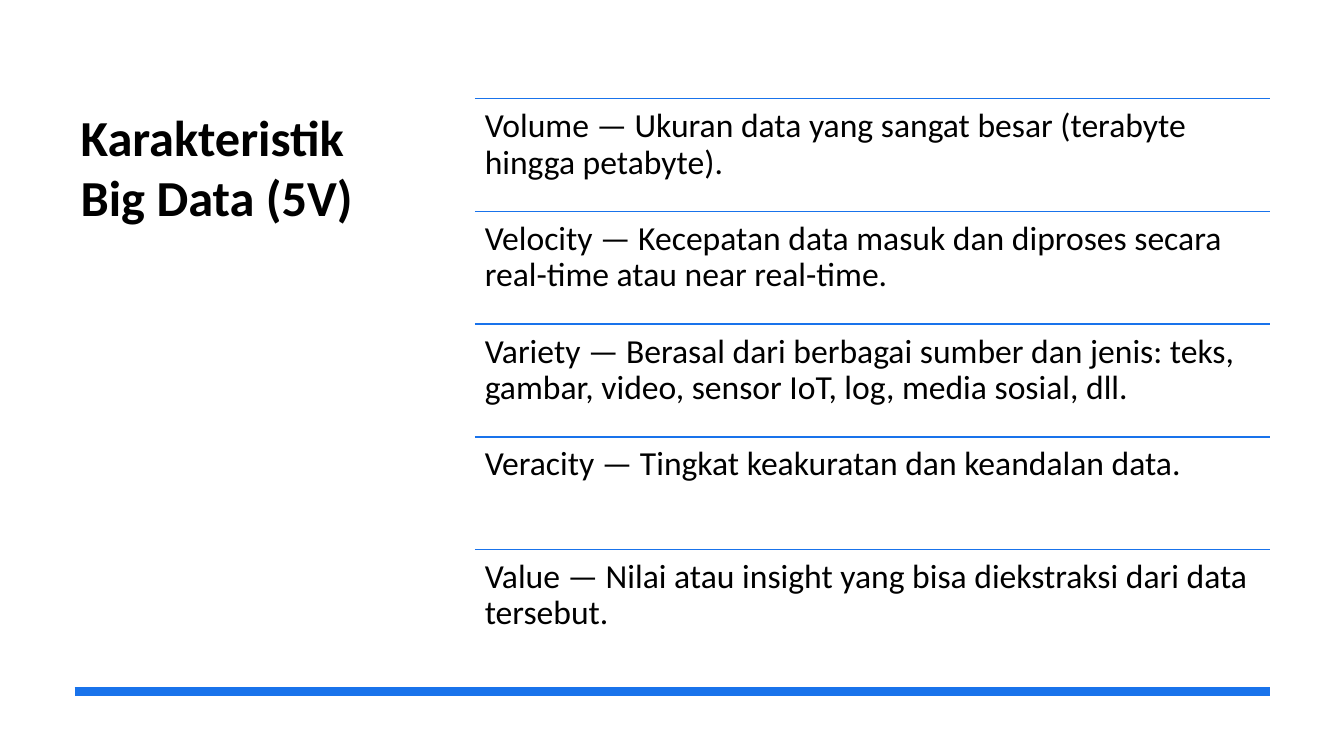
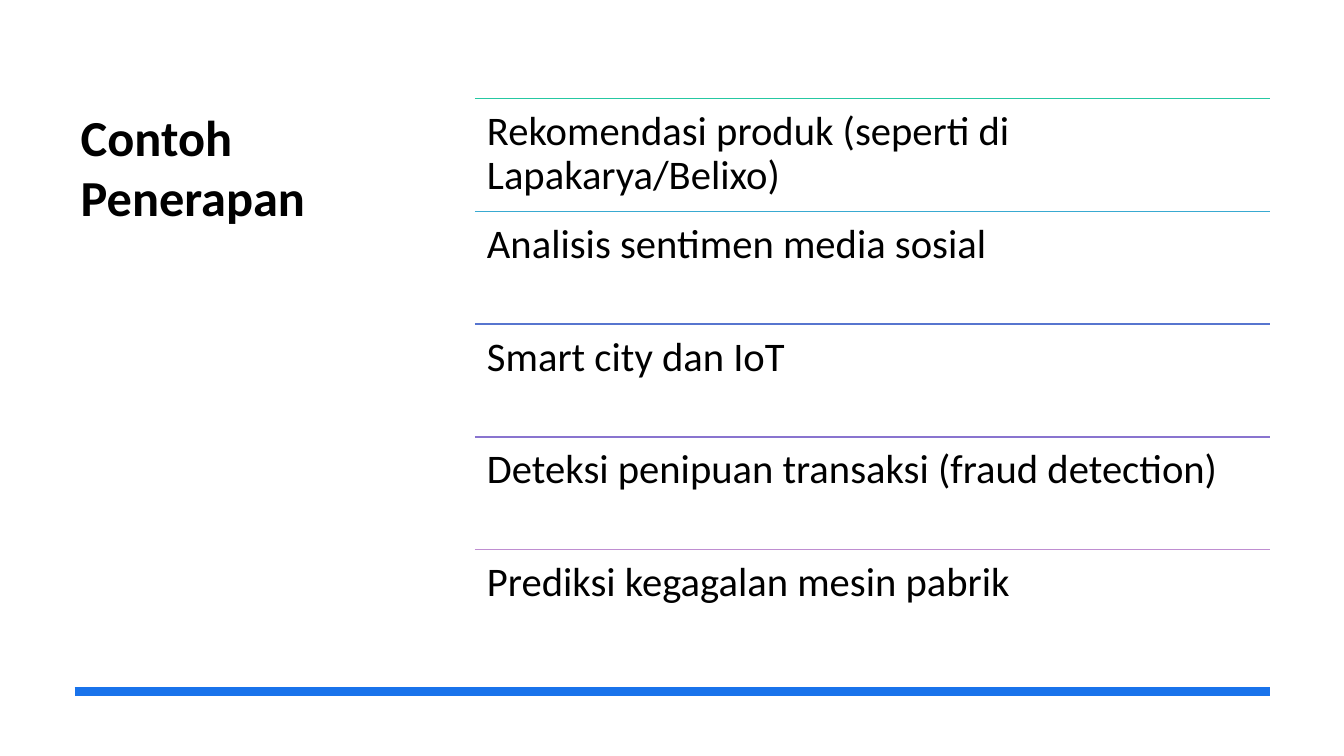
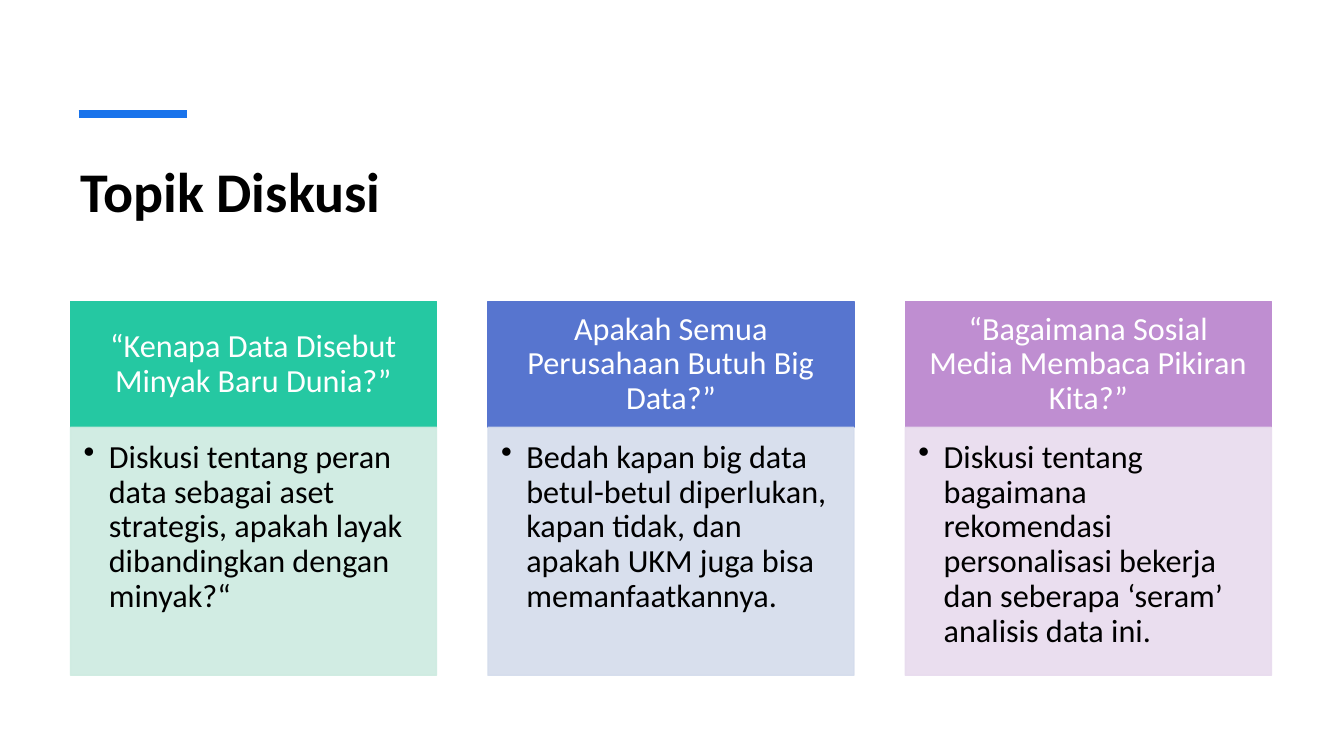
from lxml import etree
from pptx import Presentation
from pptx.dml.color import RGBColor
from pptx.enum.shapes import MSO_CONNECTOR, MSO_SHAPE
from pptx.enum.text import MSO_ANCHOR, MSO_AUTO_SIZE, PP_ALIGN
from pptx.oxml.ns import qn
from pptx.util import Inches, Pt

STRAIGHT = MSO_CONNECTOR.STRAIGHT
RECTANGLE = MSO_SHAPE.RECTANGLE
TOP, MIDDLE = MSO_ANCHOR.TOP, MSO_ANCHOR.MIDDLE
LEFT, CENTER = PP_ALIGN.LEFT, PP_ALIGN.CENTER
NO_AUTOFIT = MSO_AUTO_SIZE.NONE

TITLE_ONLY = 5
FONT = "Calibri"
COLORS = {
    "text": "000000",
    "inverse": "FFFFFF",
    "accent": "1973EB",
    "green": "25C8A2",
    "cyan": "39AAD1",
    "blue": "5775CF",
    "violet": "8974CF",
    "orchid": "BF8ED1",
    "green_tint": "CDEBE0",
    "blue_tint": "D4DCEC",
    "orchid_tint": "E8DBEE",
}

SIDE_TITLE_BOX = (0.7, 1, 3.28, 4.55)
TOP_TITLE_BOX = (0.7, 1.5, 11.91, 1.2)
ROWS_BOX = (4.71, 0.98, 7.89, 5.59)
CARDS_BOX = (0.7, 2.99, 11.91, 3.71)
CARD_GAP = 0.51
CARD_HEAD_HEIGHT = 1.25
TINT_ALPHA = 90

CHARACTERISTICS = [
    "Volume — Ukuran data yang sangat besar (terabyte hingga petabyte).",
    "Velocity — Kecepatan data masuk dan diproses secara real-time atau near real-time.",
    "Variety — Berasal dari berbagai sumber dan jenis: teks, gambar, video, sensor IoT, log, media sosial, dll.",
    "Veracity — Tingkat keakuratan dan keandalan data.",
    "Value — Nilai atau insight yang bisa diekstraksi dari data tersebut.",
]
APPLICATIONS = [
    "Rekomendasi produk (seperti di Lapakarya/Belixo)",
    "Analisis sentimen media sosial",
    "Smart city dan IoT",
    "Deteksi penipuan transaksi (fraud detection)",
    "Prediksi kegagalan mesin pabrik",
]
TOPICS = [
    ("green", "“Kenapa Data Disebut Minyak Baru Dunia?”",
     "Diskusi tentang peran data sebagai aset strategis, apakah layak dibandingkan dengan minyak?“"),
    ("blue", "Apakah Semua Perusahaan Butuh Big Data?”",
     "Bedah kapan big data betul-betul diperlukan, kapan tidak, dan apakah UKM juga bisa memanfaatkannya."),
    ("orchid", "“Bagaimana Sosial Media Membaca Pikiran Kita?”",
     "Diskusi tentang bagaimana rekomendasi personalisasi bekerja dan seberapa ‘seram’ analisis data ini."),
]


def rgb(color):
    return RGBColor.from_string(COLORS[color])


def inches(values):
    return [Inches(value) for value in values]


def set_all(target, formats):
    for name, value in formats.items():
        setattr(target, name, value)


def add_bullet(paragraph, indent):
    properties = paragraph._p.get_or_add_pPr()
    properties.set("marL", str(Inches(indent)))
    properties.set("indent", str(-Inches(indent)))
    etree.SubElement(properties, qn("a:buChar")).set("char", "•")


def write(shape, text, size, color="text", bold=False, align=LEFT, anchor=TOP,
          insets=(0.1, 0.05, 0.1, 0.05), spacing=0.9, bullet_indent=None):
    frame = shape.text_frame
    left, top, right, bottom = inches(insets)
    set_all(frame, {
        "word_wrap": True, "auto_size": NO_AUTOFIT, "vertical_anchor": anchor,
        "margin_left": left, "margin_top": top,
        "margin_right": right, "margin_bottom": bottom,
    })
    paragraph = frame.paragraphs[0]
    set_all(paragraph, {"alignment": align, "line_spacing": spacing})
    if bullet_indent:
        add_bullet(paragraph, bullet_indent)
    run = paragraph.add_run()
    run.text = text
    set_all(run.font, {"name": FONT, "size": Pt(size), "bold": bold})
    run.font.color.rgb = rgb(color)


def add_rule(slide, left, top, width, color="accent", weight=6):
    rule = slide.shapes.add_connector(STRAIGHT, *inches((left, top, left + width, top)))
    rule.line.width = Pt(weight)
    rule.line.color.rgb = rgb(color)
    etree.SubElement(rule._element.spPr, qn("a:effectLst"))


def add_panel(slide, box, color, alpha=None):
    panel = slide.shapes.add_shape(RECTANGLE, *inches(box))
    panel.shadow.inherit = False
    panel.fill.solid()
    panel.fill.fore_color.rgb = rgb(color)
    panel.line.color.rgb = rgb(color)
    panel.line.width = Pt(1)
    if alpha:
        for tone in panel._element.spPr.iter(qn("a:srgbClr")):
            etree.SubElement(tone, qn("a:alpha")).set("val", str(alpha * 1000))
    return panel


def add_titled_slide(prs, title, box, size):
    slide = prs.slides.add_slide(prs.slide_layouts[TITLE_ONLY])
    heading = slide.shapes.title
    set_all(heading, dict(zip(("left", "top", "width", "height"), inches(box))))
    write(heading, title, size, bold=True, spacing=1.0)
    return slide


def add_ruled_rows(slide, box, rows, colors, size, inset):
    left, top, width, height = box
    row_height = height / len(rows)
    for index, (text, color) in enumerate(zip(rows, colors)):
        row_top = top + index * row_height
        add_rule(slide, left, row_top, width, color, 1)
        row = slide.shapes.add_textbox(*inches((left, row_top, width, row_height)))
        write(row, text, size, insets=(inset,) * 4)


def add_card(slide, box, color, question, description):
    left, top, width, height = box
    head = add_panel(slide, (left, top, width, CARD_HEAD_HEIGHT), color)
    write(head, question, 23, "inverse", align=CENTER, anchor=MIDDLE,
          insets=(0.18, 0.1, 0.18, 0.1))
    body_box = (left, top + CARD_HEAD_HEIGHT, width, height - CARD_HEAD_HEIGHT)
    body = add_panel(slide, body_box, color + "_tint", TINT_ALPHA)
    write(body, description, 23, insets=(0.13, 0.13, 0.18, 0.2), bullet_indent=0.25)


def add_cards(slide, box, topics):
    left, top, width, height = box
    card_width = (width - CARD_GAP * (len(topics) - 1)) / len(topics)
    for index, topic in enumerate(topics):
        card_left = left + index * (card_width + CARD_GAP)
        add_card(slide, (card_left, top, card_width, height), *topic)


def build_rows_slide(prs, title, rows, colors, size, inset):
    slide = add_titled_slide(prs, title, SIDE_TITLE_BOX, 36)
    add_rule(slide, 0.74, 6.86, 11.86)
    add_ruled_rows(slide, ROWS_BOX, rows, colors, size, inset)


def build_cards_slide(prs, title, topics):
    slide = add_titled_slide(prs, title, TOP_TITLE_BOX, 40)
    add_rule(slide, 0.78, 1.13, 1.07)
    add_cards(slide, CARDS_BOX, topics)


def main():
    prs = Presentation()
    set_all(prs, {"slide_width": Inches(13.33), "slide_height": Inches(7.5)})
    build_rows_slide(prs, "Karakteristik Big Data (5V)", CHARACTERISTICS,
                     ["accent"] * len(CHARACTERISTICS), 24, 0.1)
    build_rows_slide(prs, "Contoh Penerapan", APPLICATIONS,
                     ["green", "cyan", "blue", "violet", "orchid"], 29, 0.12)
    build_cards_slide(prs, "Topik Diskusi", TOPICS)
    prs.save("out.pptx")


if __name__ == "__main__":
    main()
